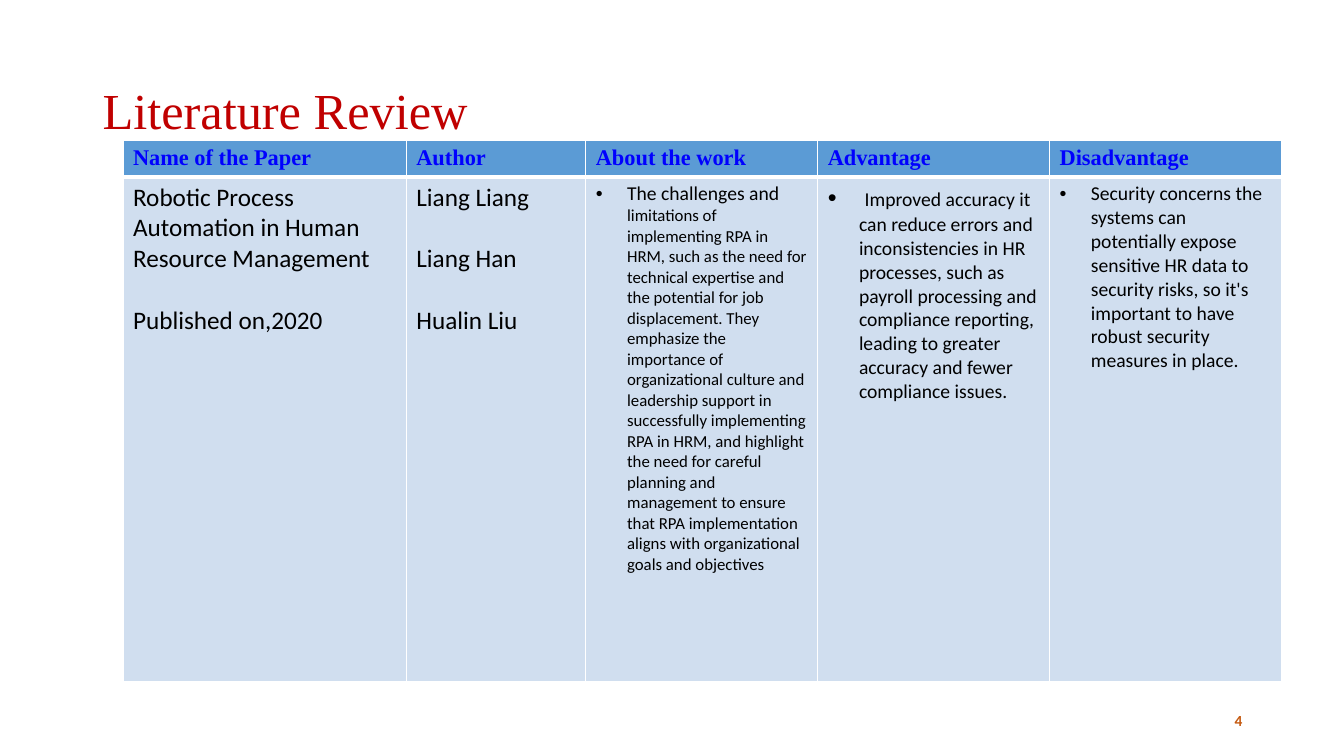
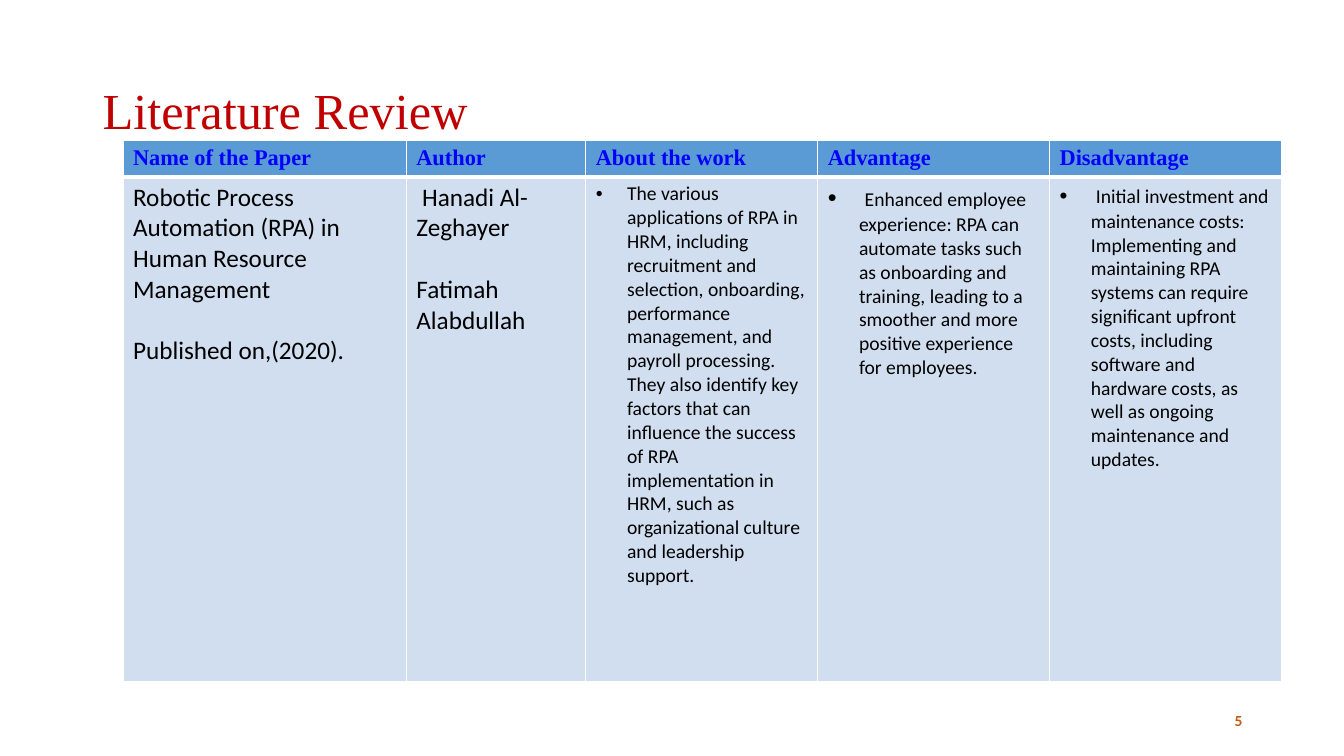
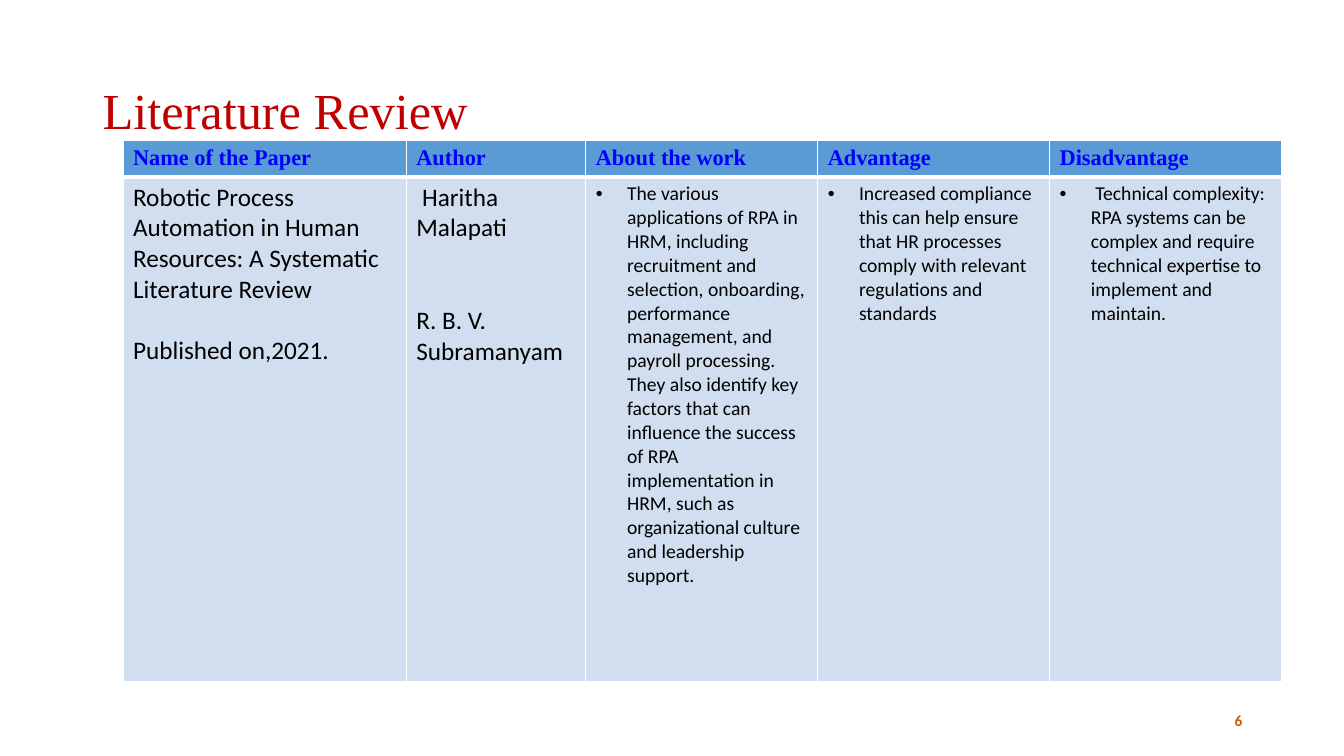
"""Build three literature review slides, each with a paper table."""
from dataclasses import dataclass

from lxml.etree import SubElement
from pptx import Presentation
from pptx.dml.color import RGBColor
from pptx.enum.text import MSO_ANCHOR, PP_ALIGN
from pptx.oxml.ns import qn
from pptx.util import Pt

PX = 9144
HUES = {
    "title": "C00000", "label": "0000FF", "text": "000000", "page": "C55A11",
    "head": "5B9BD5", "body": "D0DEEF", "rule": "FFFFFF",
}
SERIF, SANS = "Times New Roman", "Calibri"
COLS = (281, 178, 230, 230, 230)
ROWS = (35, 500)
LINE = 22
HEADS = ("Name of the Paper", "Author", "About the work", "Advantage", "Disadvantage")
USES = (
    "The various applications of RPA in HRM, including recruitment and selection, "
    "onboarding, performance management, and payroll processing. They also identify "
    "key factors that can influence the success of RPA implementation in HRM, such as "
    "organizational culture and leadership support."
)


@dataclass(frozen=True)
class Run:
    text: str
    size: int


@dataclass(frozen=True)
class Para:
    runs: tuple[Run, ...]
    gap: int = 0
    dot: bool = False


@dataclass(frozen=True)
class Paper:
    page: int
    name: tuple[Para, ...]
    author: tuple[Para, ...]
    about: Para
    pro: Para
    con: Para


def plain(text: str, size: int = 18, gap: int = 0) -> Para:
    return Para((Run(text, size),), gap)


def point(text: str, lead: str = "", size: int = 14) -> Para:
    head = (Run(lead, size),) if lead else ()
    return Para((*head, Run(text, 14)), dot=True)


PAPERS = (
    Paper(
        4,
        (plain("Robotic Process Automation in Human Resource Management"),
         plain("Published on,2020", gap=LINE)),
        (plain("Liang Liang"), plain("Liang Han", gap=LINE), plain("Hualin Liu", gap=LINE)),
        Para((
            Run("The challenges and ", 14),
            Run("limitations of implementing RPA in HRM, such as the need for technical "
                "expertise and the potential for job displacement. They emphasize the "
                "importance of organizational culture and leadership support in "
                "successfully implementing RPA in HRM, and highlight the need for careful "
                "planning and management to ensure that RPA implementation aligns with "
                "organizational goals and objectives", 12),
        ), dot=True),
        point("Improved accuracy it can reduce errors and inconsistencies in HR processes, "
              "such as payroll processing and compliance reporting, leading to greater "
              "accuracy and fewer compliance issues.", " ", 18),
        point("Security concerns the systems can potentially expose sensitive HR data to "
              "security risks, so it's important to have robust security measures in place."),
    ),
    Paper(
        5,
        (plain("Robotic Process Automation (RPA) in Human Resource Management"),
         plain("Published on,(2020).", gap=LINE)),
        (plain(" Hanadi Al-Zeghayer"), plain("Fatimah Alabdullah", gap=LINE)),
        point(USES),
        point("Enhanced employee experience: RPA can automate tasks such as onboarding and "
              "training, leading to a smoother and more positive experience for employees.",
              " ", 18),
        point("Initial investment and maintenance costs: Implementing and maintaining RPA "
              "systems can require significant upfront costs, including software and "
              "hardware costs, as well as ongoing maintenance and updates.", " ", 16),
    ),
    Paper(
        6,
        (plain("Robotic Process Automation in Human Resources: A Systematic Literature Review"),
         plain("Published on,2021.", gap=LINE)),
        (plain(" Haritha Malapati"), plain("R. B. V. Subramanyam", gap=2 * LINE)),
        point(USES),
        point("Increased compliance this can help ensure that HR processes comply with "
              "relevant regulations and standards"),
        point(" Technical complexity: RPA systems can be complex and require technical "
              "expertise to implement and maintain."),
    ),
)


def write(frame, paras: tuple[Para, ...], *, face: str = SANS, hue: str = "text",
          bold: bool = False, align=PP_ALIGN.LEFT, line: float = 1.0) -> None:
    frame.word_wrap = True
    for num, para in enumerate(paras):
        out = frame.add_paragraph() if num else frame.paragraphs[0]
        out.alignment, out.line_spacing = align, line
        out.space_before = Pt(para.gap)
        if para.dot:
            props = out._p.get_or_add_pPr()
            props.set("marL", str(31 * PX))
            props.set("indent", str(-31 * PX))
            SubElement(props, qn("a:buFont"), typeface="Arial")
            SubElement(props, qn("a:buChar"), char="•")
        for run in para.runs:
            part = out.add_run()
            part.text = run.text
            font = part.font
            font.name, font.size, font.bold = face, Pt(run.size), bold
            font.color.rgb = RGBColor.from_string(HUES[hue])


def label(slide, area: tuple[int, int, int, int], para: Para, **style) -> None:
    box = slide.shapes.add_textbox(*(side * PX for side in area))
    box.text_frame.vertical_anchor = MSO_ANCHOR.MIDDLE
    write(box.text_frame, (para,), **style)


def paint(cell, hue: str, top: int, base: int) -> None:
    props = cell._tc.get_or_add_tcPr()
    for side, width in zip("LRTB", (1, 1, top, base)):
        edge = SubElement(props, qn(f"a:ln{side}"), w=str(Pt(width)))
        fill = SubElement(edge, qn("a:solidFill"))
        SubElement(fill, qn("a:srgbClr"), val=HUES["rule"])
    cell.fill.solid()
    cell.fill.fore_color.rgb = RGBColor.from_string(HUES[hue])


def grid(slide, paper: Paper) -> None:
    area = (122, 139, sum(COLS), sum(ROWS))
    table = slide.shapes.add_table(
        len(ROWS), len(COLS), *(side * PX for side in area)).table
    table.first_row = table.horz_banding = False
    for row, high in zip(table.rows, ROWS):
        row.height = high * PX
    body = (paper.name, paper.author, (paper.about,), (paper.pro,), (paper.con,))
    for col, (wide, head, paras) in enumerate(zip(COLS, HEADS, body)):
        table.columns[col].width = wide * PX
        upper, lower = table.cell(0, col), table.cell(1, col)
        paint(upper, "head", 1, 3)
        paint(lower, "body", 3, 1)
        write(upper.text_frame, (plain(head, 16),), face=SERIF, hue="label", bold=True)
        write(lower.text_frame, paras)


def main() -> None:
    deck = Presentation()
    deck.slide_width, deck.slide_height = 1333 * PX, 750 * PX
    for paper in PAPERS:
        slide = deck.slides.add_slide(deck.slide_layouts[6])
        label(slide, (92, 40, 1150, 145), plain("Literature Review", 36),
              face=SERIF, hue="title", line=0.9)
        grid(slide, paper)
        label(slide, (942, 695, 300, 40), plain(str(paper.page), 11),
              hue="page", bold=True, align=PP_ALIGN.RIGHT)
    deck.save("out.pptx")


if __name__ == "__main__":
    main()
